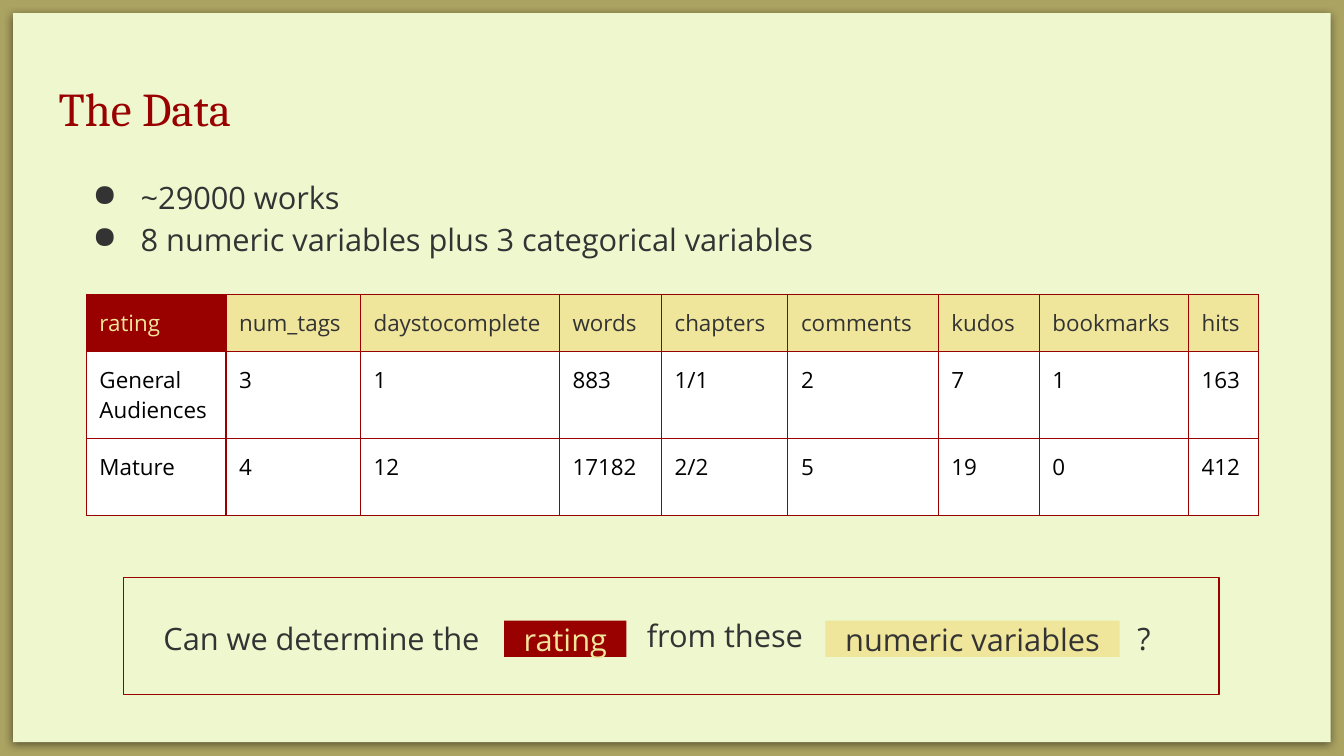
from collections import namedtuple

from lxml.etree import SubElement
from pptx import Presentation
from pptx.dml.color import RGBColor
from pptx.enum.shapes import MSO_SHAPE as Shape
from pptx.enum.text import MSO_ANCHOR as Anchor, MSO_AUTO_SIZE as AutoSize, PP_ALIGN as Align
from pptx.oxml.ns import qn
from pptx.util import Cm, Pt

OLIVE = RGBColor(0xAB, 0xA3, 0x61)
CREAM = RGBColor(0xEF, 0xF7, 0xCF)
RED = RGBColor(0x99, 0x00, 0x00)
SAND = RGBColor(0xEF, 0xE6, 0x9C)
GREY = RGBColor(0x33, 0x33, 0x33)
BLACK = RGBColor(0, 0, 0)
WHITE = RGBColor(0xFF, 0xFF, 0xFF)

BODY_FONT = "Open Sans"
INSET = 0.25
COLUMN_WIDTHS = [2.64, 2.54, 3.76, 1.93, 2.39, 2.84, 1.91, 2.82, 1.32]
ROW_HEIGHTS = [0.86, 1.45, 1.45]
ROWS = [
    ["rating", "num_tags", "daystocomplete", "words", "chapters",
     "comments", "kudos", "bookmarks", "hits"],
    ["General Audiences", "3", "1", "883", "1/1", "2", "7", "1", "163"],
    ["Mature", "4", "12", "17182", "2/2", "5", "19", "0", "412"],
]

Box = namedtuple("Box", "left top width height")


def lengths(box):
    return [Cm(value) for value in box]


def add_span(para, text, size, color, font=BODY_FONT):
    span = para.add_run()
    span.text = text
    span.font.size = Pt(size)
    span.font.name = font
    span.font.color.rgb = color


def set_frame(frame, anchor=Anchor.TOP):
    frame.word_wrap = True
    frame.auto_size = AutoSize.NONE
    frame.vertical_anchor = anchor
    frame.margin_left = frame.margin_right = Cm(INSET)
    frame.margin_top = frame.margin_bottom = Cm(INSET)


def add_panel(shapes, box, fill, line=None):
    panel = shapes.add_shape(Shape.RECTANGLE, *lengths(box))
    panel.shadow.inherit = False
    panel.fill.solid()
    panel.fill.fore_color.rgb = fill
    if line is None:
        panel.line.fill.background()
    else:
        panel.line.color.rgb = line
        panel.line.width = Pt(0.75)
    return panel


def add_card(page, box):
    """Add the page card with its soft shadow."""
    card = add_panel(page.shapes, box, CREAM)
    effects = card._element.spPr.find(qn("a:effectLst"))
    shadow = SubElement(effects, qn("a:outerShdw"), blurRad=str(Pt(4.5)),
                        dist=str(Pt(1.5)), dir="5400000", algn="t", rotWithShape="0")
    tint = SubElement(shadow, qn("a:srgbClr"), val="000000")
    SubElement(tint, qn("a:alpha"), val="50000")


def place_title(page, box, text):
    title = page.shapes.title
    title.left, title.top, title.width, title.height = lengths(box)
    set_frame(title.text_frame, Anchor.MIDDLE)
    para = title.text_frame.paragraphs[0]
    para.alignment = Align.LEFT
    add_span(para, text, 25.2, RED, "Cambria")


def add_bullets(page, box, items):
    frame = page.shapes.add_textbox(*lengths(box)).text_frame
    set_frame(frame)
    for index, item in enumerate(items):
        para = frame.add_paragraph() if index else frame.paragraphs[0]
        para.line_spacing = 1.15
        add_span(para, item, 16.5, GREY)
        props = para._p.get_or_add_pPr()
        props.set("marL", str(Cm(1.27)))
        props.set("indent", str(Cm(-0.91)))
        color = SubElement(props, qn("a:buClr"))
        SubElement(color, qn("a:srgbClr"), val=str(GREY))
        SubElement(props, qn("a:buChar"), char="●")


def add_borders(cell, color):
    props = cell._tc.get_or_add_tcPr()
    for side in ("lnL", "lnR", "lnT", "lnB"):
        line = SubElement(props, qn(f"a:{side}"), w=str(Pt(0.75)))
        fill = SubElement(line, qn("a:solidFill"))
        SubElement(fill, qn("a:srgbClr"), val=str(color))


def cell_colors(row, column):
    """Return the fill and text colours of a cell."""
    if row:
        return WHITE, BLACK
    return (SAND, GREY) if column else (RED, SAND)


def add_data_table(page, box):
    table = page.shapes.add_table(len(ROWS), len(COLUMN_WIDTHS), *lengths(box)).table
    for column, width in zip(table.columns, COLUMN_WIDTHS):
        column.width = Cm(width)
    for row, height in zip(table.rows, ROW_HEIGHTS):
        row.height = Cm(height)
    for r, texts in enumerate(ROWS):
        for c, text in enumerate(texts):
            cell = table.cell(r, c)
            fill, color = cell_colors(r, c)
            add_borders(cell, RED)
            cell.fill.solid()
            cell.fill.fore_color.rgb = fill
            cell.margin_left = cell.margin_right = Cm(INSET)
            cell.margin_top = cell.margin_bottom = Cm(INSET)
            add_span(cell.text_frame.paragraphs[0], text, 12, color)


def add_question(page, box):
    """Add the framed question, with its key terms on coloured tags."""
    add_panel(page.shapes, box, CREAM, RED)
    group = page.shapes.add_group_shape()
    parts = [
        ("Can we determine the", Box(0.5, 0.54, 14.68, 1.22), None, GREY, Align.LEFT),
        ("from these", Box(9.39, 0.48, 3.94, 1.22), None, GREY, Align.CENTER),
        ("rating", Box(7.19, 0.81, 2.31, 0.69), RED, SAND, Align.CENTER),
        ("numeric variables", Box(13.26, 0.81, 5.56, 0.69), SAND, GREY, Align.CENTER),
        ("?", Box(18.34, 0.54, 1.88, 1.22), None, GREY, Align.CENTER),
    ]
    for text, offset, fill, color, alignment in parts:
        place = offset._replace(left=box.left + offset.left, top=box.top + offset.top)
        if fill is None:
            part = group.shapes.add_textbox(*lengths(place))
            set_frame(part.text_frame)
        else:
            part = add_panel(group.shapes, place, fill)
            set_frame(part.text_frame, Anchor.MIDDLE)
        para = part.text_frame.paragraphs[0]
        para.alignment = alignment
        add_span(para, text, 16.5, color)


def main():
    deck = Presentation()
    deck.slide_width, deck.slide_height = Cm(25.4), Cm(14.29)
    page = deck.slides.add_slide(deck.slide_layouts[5])
    page.background.fill.solid()
    page.background.fill.fore_color.rgb = OLIVE

    add_card(page, Box(0.25, 0.25, 24.9, 13.78))
    # Bring the title in front of the card.
    page.shapes._spTree.append(page.shapes.title._element)
    place_title(page, Box(0.86, 1.24, 23.67, 1.6), "The Data")
    add_bullets(page, Box(1.14, 3.02, 22.28, 2.39),
                ["~29000 works", "8 numeric variables plus 3 categorical variables"])
    add_data_table(page, Box(1.63, 5.56, sum(COLUMN_WIDTHS), sum(ROW_HEIGHTS)))
    add_question(page, Box(2.34, 10.92, 20.7, 2.21))
    deck.save("out.pptx")


if __name__ == "__main__":
    main()
